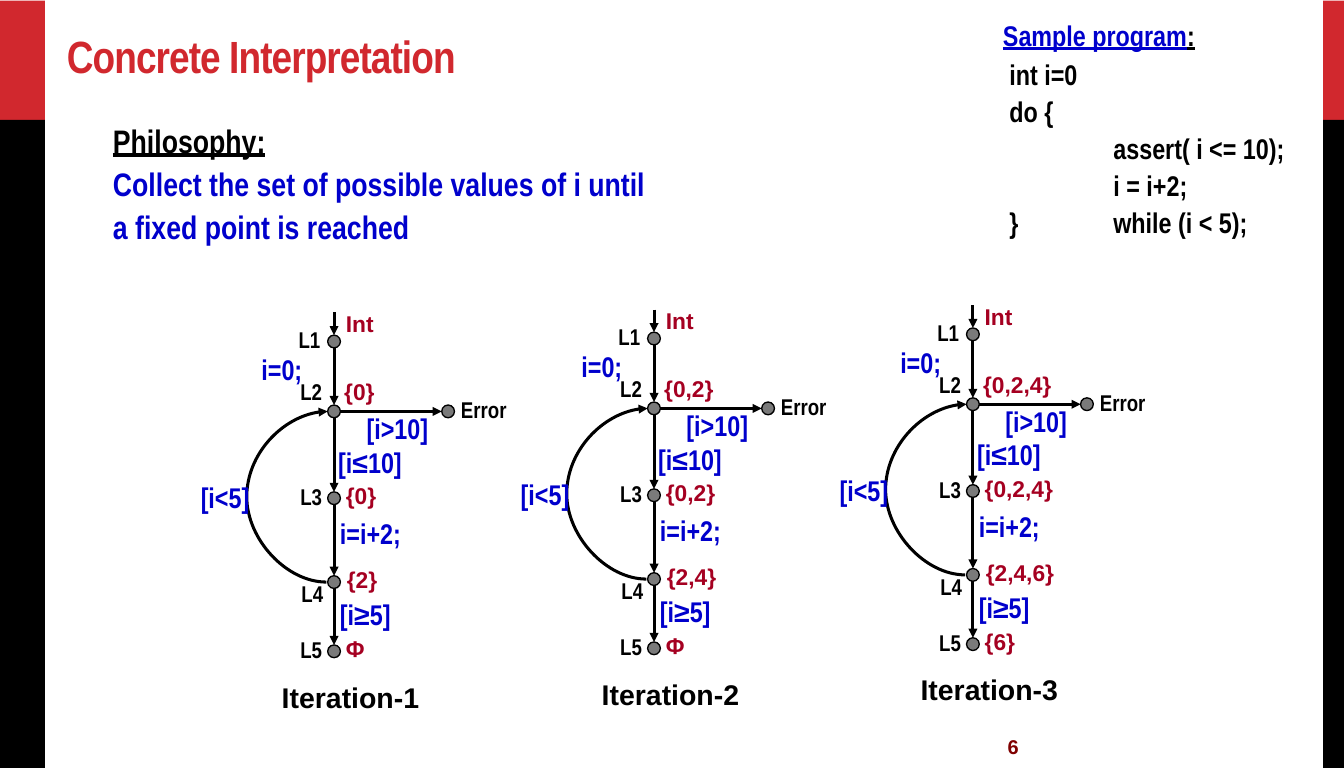
from lxml import etree
from pptx import Presentation
from pptx.dml.color import RGBColor
from pptx.enum.shapes import MSO_CONNECTOR, MSO_SHAPE
from pptx.enum.text import MSO_ANCHOR
from pptx.oxml.ns import qn
from pptx.util import Pt

RED = RGBColor(0xD1, 0x28, 0x2E)
BLACK = RGBColor(0, 0, 0)
WHITE = RGBColor(255, 255, 255)
BLUE = RGBColor(0, 0, 0xCC)
CRIMSON = RGBColor(0xA5, 0, 0x21)
MAROON = RGBColor(0x80, 0, 0)
GRAY = RGBColor(0x7A, 0x7A, 0x7A)
NARROW, WIDE = "Arial Narrow", "Arial"

SLIDE_W, SLIDE_H = 992.13, 566.93
BAND_H, BAND_TOP = 113, 88.5
BANDS = [(0, 33.1), (976.8, 15.33)]

PHILOSOPHY = ["Collect the set of possible values of i until", "a fixed point is reached"]
PROGRAM = [" int i=0", " do {", "\tassert( i <= 10);", "\ti = i+2;", " }\twhile (i < 5);"]

ITERATIONS = [
    ("Iteration-1", 246.6, 303.7, ["Int", "{0}", "{0}", "{2}", "Φ"]),
    ("Iteration-2", 482.8, 301.5, ["Int", "{0,2}", "{0,2}", "{2,4}", "Φ"]),
    ("Iteration-3", 718.2, 298.4, ["Int", "{0,2,4}", "{0,2,4}", "{2,4,6}", "{6}"]),
]
NODE_Y = [-51.6, 0, 64.1, 126, 177.1]
NODE_D, ERROR_X, ENTRY_Y, LOOP_BULGE = 9.4, 84.2, -73, 59.2
POINT_LABELS = [
    ("L1", -33.3, -66.6, 31), ("L2", -32, -28.4, 31), ("L3", -32, 49.3, 31),
    ("L4", -31.1, 120.6, 31), ("L5", -32, 162.4, 31), ("Error", 86.6, -14.8, 49),
]
EDGE_LABELS = [
    ("i=0;", -60.7, -47.2, 44.6), ("[i>10]", 16.9, -4, 60.5), ("[i≤10]", -4, 21, 62),
    ("i=i+2;", -2.7, 73.6, 59.8), ("[i<5]", -105.5, 47.2, 51), ("[i≥5]", -2.7, 133.4, 52.6),
]
VALUE_PLACES = [(1.6, -78.8), (0.4, -28.4), (1.6, 48.5), (2.4, 110.3), (1.6, 161.5)]


def add_run(paragraph, text, size, color, font=NARROW, underline=False):
    run = paragraph.add_run()
    run.text = text
    run.font.name, run.font.size, run.font.bold = font, Pt(size), True
    run.font.color.rgb = color
    if underline:
        run.font.underline = True
    return run


def add_box(shapes, x, y, w, h, insets=(7.2, 3.6, 7.2, 3.6), wrap=True, anchor=MSO_ANCHOR.TOP):
    box = shapes.add_textbox(Pt(x), Pt(y), Pt(w), Pt(h))
    frame = box.text_frame
    frame.margin_left, frame.margin_top, frame.margin_right, frame.margin_bottom = map(Pt, insets)
    frame.word_wrap, frame.vertical_anchor = wrap, anchor
    return box


def add_label(shapes, text, x, y, w, size, color, font=NARROW):
    box = add_box(shapes, x, y, w, 32.4 if size > 20 else 27.4, wrap=False)
    add_run(box.text_frame.paragraphs[0], text, size, color, font)


def add_solid(shapes, kind, x, y, w, h, fill, outlined=False):
    shape = shapes.add_shape(kind, Pt(x), Pt(y), Pt(w), Pt(h))
    shape.shadow.inherit = False
    shape.fill.solid()
    shape.fill.fore_color.rgb = fill
    if outlined:
        shape.line.color.rgb, shape.line.width = BLACK, Pt(1)
    else:
        shape.line.fill.background()


def add_arrow(shapes, x1, y1, x2, y2, kind=MSO_CONNECTOR.STRAIGHT):
    arrow = shapes.add_connector(kind, Pt(x1), Pt(y1), Pt(x2), Pt(y2))
    arrow.line.color.rgb, arrow.line.width = BLACK, Pt(2.25)
    etree.SubElement(arrow.line._get_or_add_ln(), qn("a:tailEnd"), type="triangle")
    etree.SubElement(arrow._element.spPr, qn("a:effectLst"))
    return arrow


def add_loop(shapes, x, bottom, top):
    width = 1
    loop = add_arrow(shapes, x - width, bottom, x, top, MSO_CONNECTOR.CURVE)
    guides = loop._element.spPr.find(qn("a:prstGeom")).get_or_add_avLst()
    bend = round(-LOOP_BULGE / width * 100000)
    etree.SubElement(guides, qn("a:gd"), name="adj1", fmla=f"val {bend}")


def add_iteration(shapes, name, cx, cy, values):
    r = NODE_D / 2
    for dx, dy in [(0, y) for y in NODE_Y] + [(ERROR_X, 0)]:
        add_solid(shapes, MSO_SHAPE.OVAL, cx + dx - r, cy + dy - r, NODE_D, NODE_D, GRAY, True)
    starts = [ENTRY_Y] + [y + r for y in NODE_Y[:-1]]
    for start, node in zip(starts, NODE_Y):
        add_arrow(shapes, cx, cy + start, cx, cy + node - r)
    add_arrow(shapes, cx + r, cy, cx + ERROR_X - r, cy)
    add_loop(shapes, cx - r, cy + NODE_Y[3], cy)
    for labels, size, color in [(POINT_LABELS, 16.8, BLACK), (EDGE_LABELS, 21, BLUE)]:
        for text, dx, dy, w in labels:
            add_label(shapes, text, cx + dx, cy + dy, w, size, color)
    for value, (dx, dy) in zip(values, VALUE_PLACES):
        width = max(31, 16 + 7 * len(value))
        add_label(shapes, value, cx + dx, cy + dy, width, 16.8, CRIMSON, WIDE)
    add_label(shapes, name, cx - 45.7, cy + 194.5, 117.4, 21, BLACK, WIDE)


prs = Presentation()
prs.slide_width, prs.slide_height = Pt(SLIDE_W), Pt(SLIDE_H)
slide = prs.slides.add_slide(prs.slide_layouts[6])
shapes = slide.shapes

for x, w in BANDS:
    add_solid(shapes, MSO_SHAPE.RECTANGLE, x, 0.5, w, BAND_H, RED)
    add_solid(shapes, MSO_SHAPE.RECTANGLE, x, BAND_TOP, w, SLIDE_H - BAND_TOP, BLACK)

number = add_box(shapes, 736, 532, 132.5, 28, (7.9, 4.3, 7.9, 0), anchor=MSO_ANCHOR.BOTTOM)
add_run(number.text_frame.paragraphs[0], "6", 14.7, MAROON, WIDE)

title = add_box(shapes, 41.5, 13, 926, 52, (7.9, 4.3, 7.9, 4.3), anchor=MSO_ANCHOR.BOTTOM)
title_run = add_run(title.text_frame.paragraphs[0], "Concrete Interpretation", 33.3, RED)
title_run.font._element.set("spc", "-70")

program = add_box(shapes, 732.5, 9.2, 237.6, 183.6, (7.9, 4.3, 7.9, 4.3))
program.fill.solid()
program.fill.fore_color.rgb = WHITE
heading = program.text_frame.paragraphs[0]
add_run(heading, "Sample program", 21, BLUE, underline=True)
add_run(heading, ":", 21, BLACK, underline=True)
for code in PROGRAM:
    line = program.text_frame.add_paragraph()
    line.line_spacing = 0.65
    add_run(line, code, 21, BLACK)
    stops = etree.SubElement(line._p.get_or_add_pPr(), qn("a:tabLst"))
    etree.SubElement(stops, qn("a:tab"), pos=str(Pt(81.5)), algn="l")
for line in program.text_frame.paragraphs:
    line.space_before, line.space_after = Pt(4.2), Pt(6.8)

philosophy = add_box(shapes, 76.3, 82.8, 453, 103)
add_run(philosophy.text_frame.paragraphs[0], "Philosophy:", 24, BLACK, underline=True)
for text in PHILOSOPHY:
    add_run(philosophy.text_frame.add_paragraph(), text, 24, BLUE)
for line in philosophy.text_frame.paragraphs:
    line.line_spacing = 1.1

for iteration in ITERATIONS:
    add_iteration(shapes.add_group_shape().shapes, *iteration)

prs.save("out.pptx")
